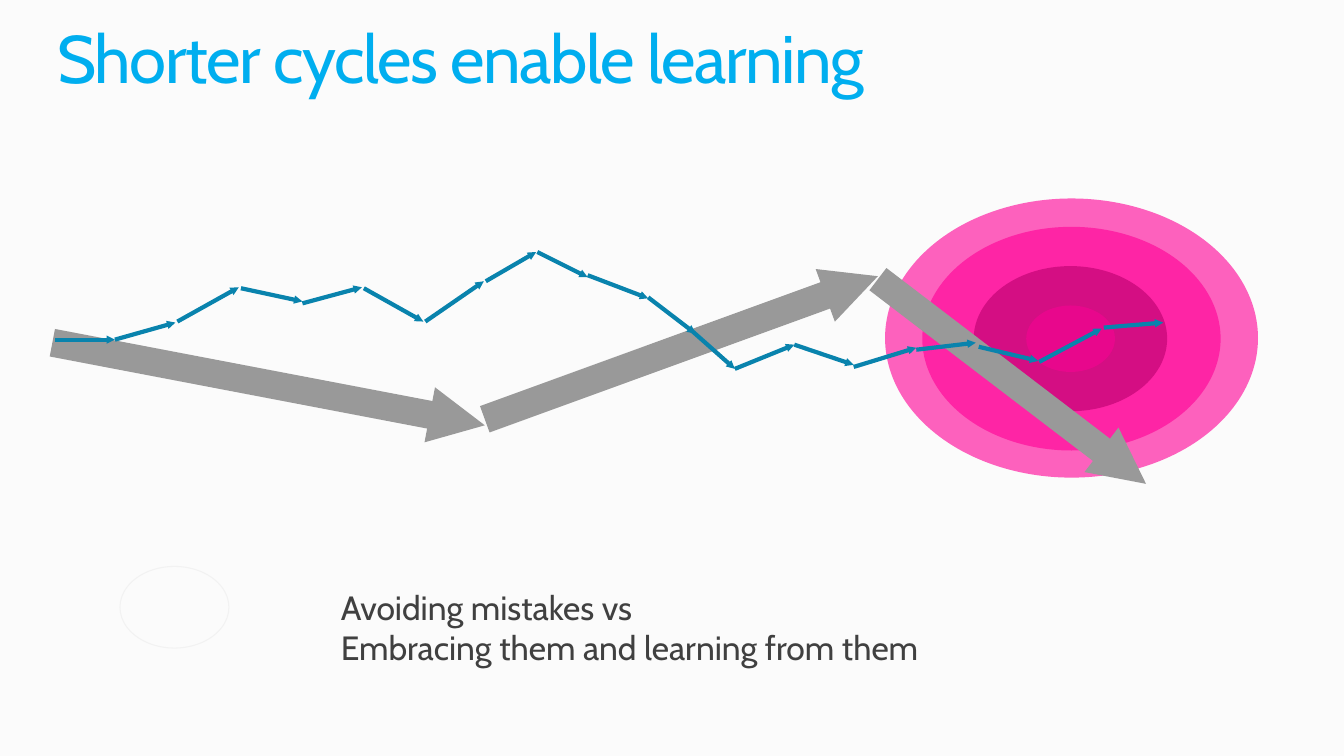
"""Build the slide that compares long and short learning cycles."""
from pptx import Presentation
from pptx.dml.color import RGBColor
from pptx.enum.shapes import MSO_CONNECTOR, MSO_SHAPE
from pptx.enum.text import MSO_ANCHOR, MSO_AUTO_SIZE, PP_ALIGN
from pptx.oxml.ns import qn
from pptx.util import Pt
from lxml.etree import SubElement

FONT = "Cabin"
COLORS = {
    "background": "FBFBFB",
    "title": "00AEEF",
    "text": "404040",
    "pink": "FF0097",
    "plum": "BA006E",
    "long_cycle": "999999",
    "short_cycle": "0983AD",
    "outline": "F2F2F2",
}
TARGET_RINGS = [
    ((632.2, 141.8, 266.4, 199.4), "pink", 61),
    ((658.8, 162, 213.1, 159.8), "pink", 61),
    ((695.5, 190.1, 138.2, 103.7), "plum", 61),
    ((733, 218.2, 63.4, 47.5), "pink", 48),
]
LONG_CYCLES = [
    (627.1, 199.4, 818.6, 345.6),
    (346.3, 299.5, 627.1, 197.3),
    (37.4, 244.8, 346.3, 303.8),
]
SHORT_CYCLES = [
    (39.6, 242.6, 82.1, 242.6),
    (82.1, 242.6, 125.3, 230.4),
    (126.7, 229.7, 170.6, 205.2),
    (172.1, 205.9, 216, 215.3),
    (216, 216.7, 258.5, 205.2),
    (259.9, 205.9, 302.4, 229.7),
    (303.8, 229.7, 345.6, 200.9),
    (347, 200.9, 383, 180),
    (383.8, 180, 419.8, 198),
    (419.8, 196.6, 463, 213.1),
    (463, 212.4, 496.8, 238.3),
    (493.2, 235.4, 524.9, 263.5),
    (524.9, 263.5, 567.4, 246.2),
    (567.4, 246.2, 609.8, 260.6),
    (609.8, 262.1, 654.5, 248.4),
    (654.5, 249.8, 697, 244.8),
    (699.1, 247.7, 741.6, 257.8),
    (742.3, 258.5, 787, 234.7),
    (788.4, 234, 830.9, 230.4),
]


def color(name):
    return RGBColor.from_string(COLORS[name])


def add_ellipse(page, bounds):
    ellipse = page.shapes.add_shape(MSO_SHAPE.OVAL, *map(Pt, bounds))
    ellipse.shadow.inherit = False
    return ellipse


def add_ring(page, bounds, fill, opacity):
    ring = add_ellipse(page, bounds)
    ring.fill.solid()
    ring.fill.fore_color.rgb = color(fill)
    ring.line.fill.background()
    tint = next(ring.fill._xPr.iter(qn("a:srgbClr")))
    SubElement(tint, qn("a:alpha"), val=str(opacity * 1000))


def add_outline(page, bounds):
    outline = add_ellipse(page, bounds)
    outline.fill.background()
    outline.line.color.rgb = color("outline")
    outline.line.width = Pt(0.75)


def add_arrow(page, ends, stroke, width):
    arrow = page.shapes.add_connector(MSO_CONNECTOR.STRAIGHT, *map(Pt, ends))
    arrow.line.color.rgb = color(stroke)
    arrow.line.width = Pt(width)
    SubElement(arrow.line._get_or_add_ln(), qn("a:tailEnd"),
               type="triangle", w="sm", len="sm")
    SubElement(arrow._element.spPr, qn("a:effectLst"))


def write_lines(box, lines, size, fill):
    frame = box.text_frame
    frame.word_wrap = True
    frame.auto_size = MSO_AUTO_SIZE.NONE
    frame.vertical_anchor = MSO_ANCHOR.TOP
    frame.margin_left = frame.margin_right = Pt(0)
    frame.margin_top = frame.margin_bottom = Pt(0)
    for index, line in enumerate(lines):
        para = frame.add_paragraph() if index else frame.paragraphs[0]
        para.alignment = PP_ALIGN.LEFT
        span = para.add_run()
        span.text = line
        span.font.name = FONT
        span.font.size = Pt(size)
        span.font.color.rgb = color(fill)


def add_title(page, text):
    title = page.shapes.title
    title.left, title.top = Pt(41), Pt(18)
    title.width, title.height = Pt(877.7), Pt(53.3)
    write_lines(title, [text], 48, "title")
    para = title.text_frame.paragraphs[0]
    para.line_spacing = 0.9
    para.runs[0].font._element.set("spc", "-100")


def add_caption(page, lines):
    caption = page.shapes.add_textbox(Pt(243.4), Pt(419), Pt(505.4), Pt(58.3))
    write_lines(caption, lines, 24, "text")


def main():
    deck = Presentation()
    deck.slide_width, deck.slide_height = Pt(960), Pt(540)
    page = deck.slides.add_slide(deck.slide_layouts[5])
    page.background.fill.solid()
    page.background.fill.fore_color.rgb = color("background")
    for bounds, fill, opacity in TARGET_RINGS:
        add_ring(page, bounds, fill, opacity)
    for ends in LONG_CYCLES:
        add_arrow(page, ends, "long_cycle", 20)
    add_outline(page, (85.7, 404.6, 77.8, 58.3))
    for ends in SHORT_CYCLES:
        add_arrow(page, ends, "short_cycle", 3)
    add_title(page, "Shorter cycles enable learning")
    add_caption(page, ["Avoiding mistakes vs",
                       "Embracing them and learning from them"])
    deck.save("out.pptx")


if __name__ == "__main__":
    main()
